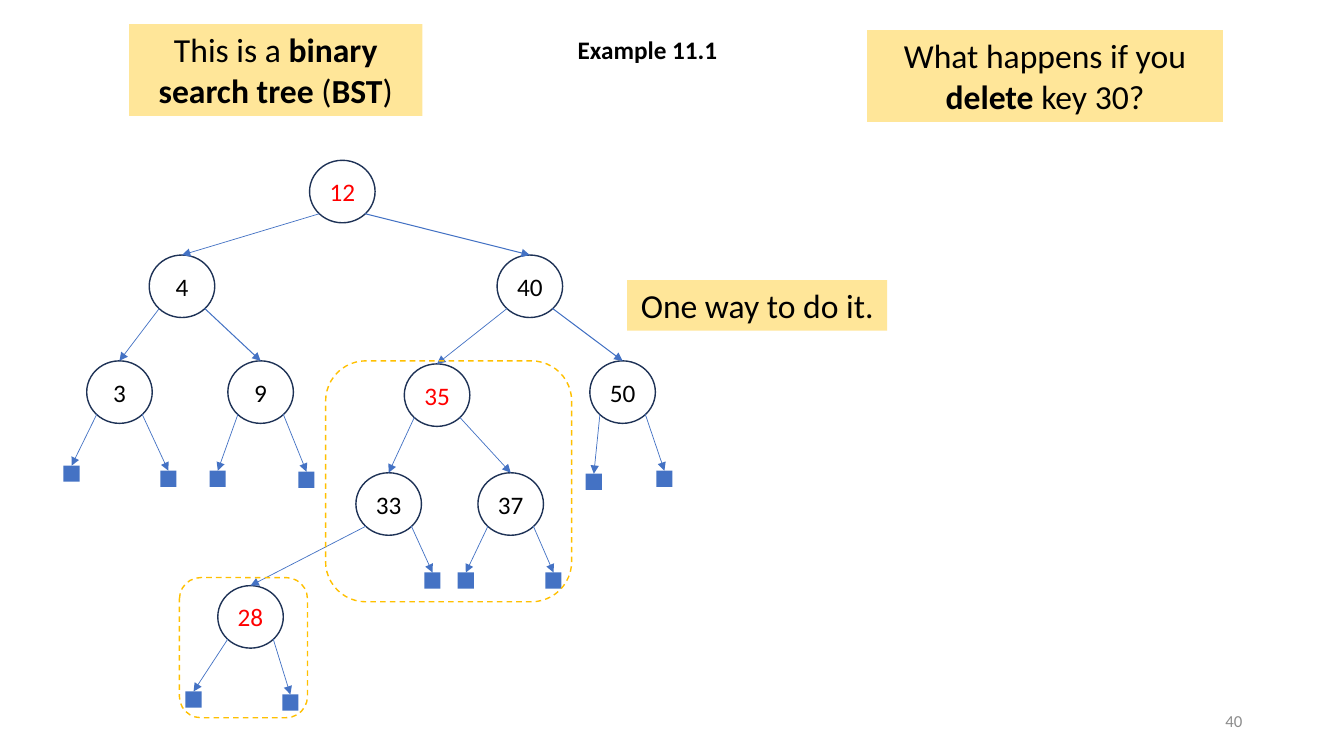
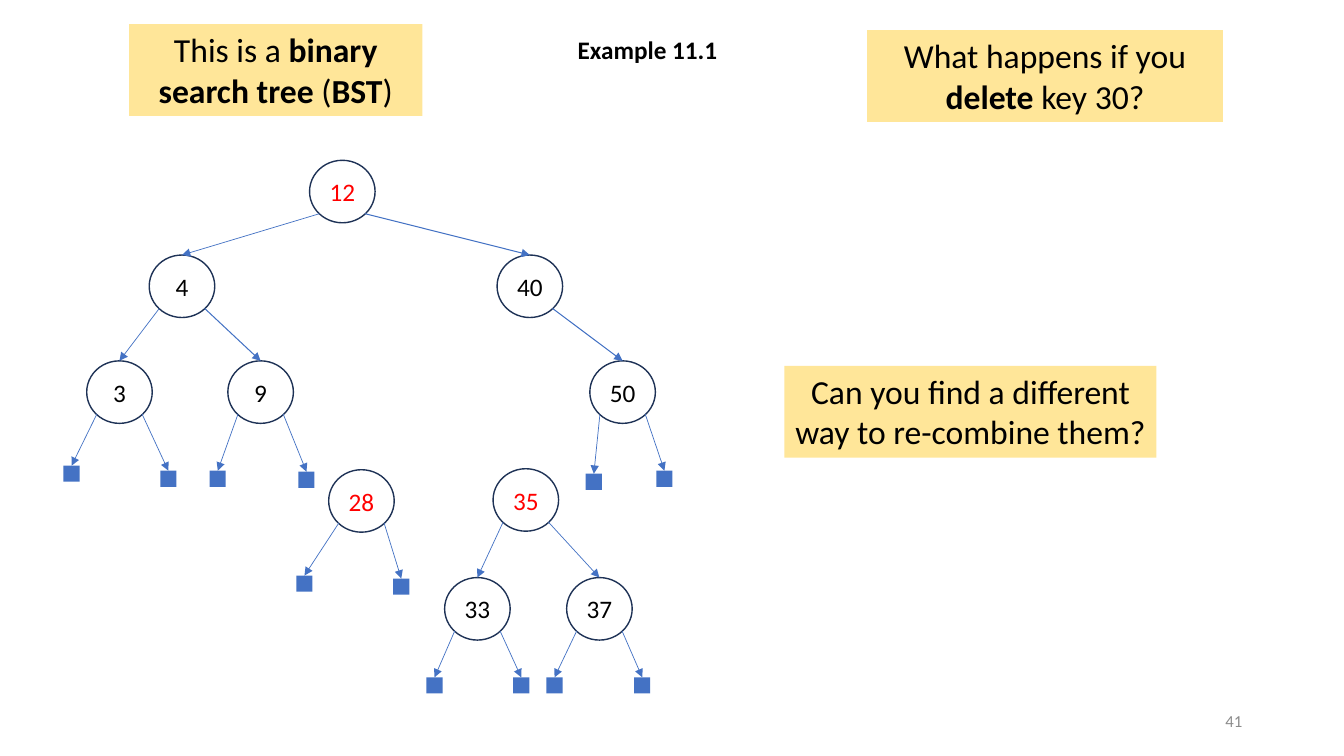
import typing

import pptx
import pptx.dml.color
import pptx.enum.dml
import pptx.enum.shapes
import pptx.enum.text
import pptx.oxml
import pptx.oxml.ns
import pptx.util

PX = 9144  # EMU in one px, 100 px to the inch
FONT = "Calibri"
COLORS = {
    "note": "FFE699", "ink": "000000", "hot": "FF0000", "ring": "1E3256",
    "edge": "4472C4", "frame": "FFC000", "page": "8C8C8C",
}
RING_W, RING_H, LEAF = 65, 62, 16
EXITS = ((10, 53), (55, 53))  # where left and right edges leave a ring
KIND = pptx.enum.shapes.MSO_SHAPE
ALIGN = pptx.enum.text.PP_ALIGN
ANCHOR = pptx.enum.text.MSO_ANCHOR

Spot = tuple[int, int]
Area = tuple[int, int, int, int]


class Node(typing.NamedTuple):
    key: str
    x: int
    y: int
    up: str = ""      # key of the parent
    side: int = 0     # 0 left child, 1 right child
    leaves: tuple[Spot | None, Spot | None] = (None, None)  # from the ring's corner
    hot: bool = False
    edge: float = 0.5


class Note(typing.NamedTuple):
    area: Area
    runs: tuple[tuple[str, bool], ...]


class Page(typing.NamedTuple):
    number: str
    nodes: list[Node]
    frames: list[Area]
    note: Note


# Shared parts
TITLE = "Example 11.1"
NOTES = (
    Note((128, 24, 291, 91), (("This is a ", False), ("binary search tree", True),
                              (" (", False), ("BST", True), (")", False))),
    Note((860, 30, 353, 91), (("What happens if you ", False), ("delete", True),
                              (" key 30?", False))),
)
TRUNK = [
    Node("12", 307, 159, hot=True),
    Node("4", 148, 253, "12", 0),
    Node("40", 493, 253, "12", 1, edge=0.75),
    Node("3", 86, 358, "4", 0, ((-23, 104), (73, 109))),
    Node("9", 226, 358, "4", 1, ((-18, 109), (70, 110)), edge=0.75),
    Node("50", 585, 358, "40", 1, ((-4, 112), (66, 109)), edge=0.75),
]
# Subtrees left after the key is deleted
LIMB = [
    Node("35", 401, 361, "40", 0, hot=True),
    Node("33", 353, 469, "35", 0, (None, (68, 99))),
    Node("37", 474, 469, "35", 1, ((-20, 99), (67, 99))),
]
TWIG = Node("28", 216, 581, "33", 0, ((-32, 105), (64, 108)), hot=True)


def shift(node: Node, dx: int, dy: int) -> Node:
    return node._replace(x=node.x + dx, y=node.y + dy)


def apart() -> list[Node]:
    """Both subtrees cut loose and moved below the trunk."""
    root, low, high = (shift(node, 88, 104) for node in LIMB)
    low = low._replace(leaves=((-18, 99), low.leaves[1]))
    return [root._replace(up=""), low, high, shift(TWIG, 110, -115)._replace(up="")]


PAGES = [
    Page("40", TRUNK + LIMB + [TWIG], [(323, 358, 244, 239), (178, 573, 127, 139)],
         Note((622, 278, 258, 50), (("One way to do it.", False),))),
    Page("41", TRUNK + apart(), [],
         Note((778, 363, 369, 91),
              (("Can you find a different way to re-combine them?", False),))),
]


def tint(name: str) -> pptx.dml.color.RGBColor:
    return pptx.dml.color.RGBColor.from_string(COLORS[name])


def scale(*sizes: int) -> list[int]:
    return [size * PX for size in sizes]


def style(para, size: int, color: str, align) -> None:
    para.alignment = align
    para.font.name = FONT
    para.font.size = pptx.util.Pt(size)
    para.font.color.rgb = tint(color)


def add_shape(slide, kind, area: Area, fill: str = "", line: str = ""):
    shape = slide.shapes.add_shape(kind, *scale(*area))
    shape.shadow.inherit = False
    if fill:
        shape.fill.solid()
        shape.fill.fore_color.rgb = tint(fill)
    else:
        shape.fill.background()
    if line:
        shape.line.color.rgb = tint(line)
        shape.line.width = pptx.util.Pt(1)
    else:
        shape.line.fill.background()
    return shape


def add_note(slide, note: Note) -> None:
    box = add_shape(slide, KIND.RECTANGLE, note.area, fill="note")
    frame = box.text_frame
    frame.word_wrap = True
    frame.vertical_anchor = ANCHOR.TOP
    para = frame.paragraphs[0]
    style(para, 24, "ink", ALIGN.CENTER)
    for text, bold in note.runs:
        run = para.add_run()
        run.text = text
        run.font.bold = bold


def add_ring(slide, node: Node):
    ring = add_shape(slide, KIND.OVAL, (node.x, node.y, RING_W, RING_H), line="ring")
    frame = ring.text_frame
    frame.margin_left = frame.margin_right = frame.margin_top = frame.margin_bottom = 0
    frame.word_wrap = False
    frame.vertical_anchor = ANCHOR.MIDDLE
    frame.text = node.key
    style(frame.paragraphs[0], 18, "hot" if node.hot else "ink", ALIGN.CENTER)
    return ring


def add_edge(slide, node: Node, side: int, child, width: float = 0.5) -> None:
    """Arrow from a lower corner of the node's ring to the child's top."""
    dx, dy = EXITS[side]
    start = scale(node.x + dx, node.y + dy)
    edge = slide.shapes.add_connector(
        pptx.enum.shapes.MSO_CONNECTOR.STRAIGHT, *start, *start)
    edge.end_connect(child, 0)
    edge.line.color.rgb = tint("edge")
    edge.line.width = pptx.util.Pt(width)
    head = pptx.oxml.parse_xml(
        f'<a:tailEnd {pptx.oxml.ns.nsdecls("a")} type="triangle"/>')
    edge.line._get_or_add_ln().append(head)
    edge._element.spPr.append(
        pptx.oxml.parse_xml(f'<a:effectLst {pptx.oxml.ns.nsdecls("a")}/>'))


def add_tree(slide, nodes: list[Node]) -> None:
    by_key = {node.key: node for node in nodes}
    for node in nodes:
        ring = add_ring(slide, node)
        if node.up:
            add_edge(slide, by_key[node.up], node.side, ring, node.edge)
        for side, spot in enumerate(node.leaves):
            if spot:
                area = (node.x + spot[0], node.y + spot[1], LEAF, LEAF)
                leaf = add_shape(slide, KIND.RECTANGLE, area, fill="edge")
                add_edge(slide, node, side, leaf)


def add_title(slide) -> None:
    title = slide.shapes.title
    title.left, title.top, title.width, title.height = scale(563, 29, 160, 40)
    frame = title.text_frame
    frame.text = TITLE
    frame.word_wrap = False
    frame.auto_size = pptx.enum.text.MSO_AUTO_SIZE.SHAPE_TO_FIT_TEXT
    frame.vertical_anchor = ANCHOR.TOP
    para = frame.paragraphs[0]
    style(para, 18, "ink", ALIGN.LEFT)
    para.font.bold = True


def add_number(slide, number: str) -> None:
    frame = slide.shapes.add_textbox(*scale(942, 695, 300, 40)).text_frame
    frame.word_wrap = True
    frame.vertical_anchor = ANCHOR.MIDDLE
    frame.text = number
    style(frame.paragraphs[0], 12, "page", ALIGN.RIGHT)


def add_page(deck, page: Page) -> None:
    slide = deck.slides.add_slide(deck.slide_layouts[5])
    add_title(slide)
    add_number(slide, page.number)
    add_tree(slide, page.nodes)
    for area in page.frames:
        frame = add_shape(slide, KIND.ROUNDED_RECTANGLE, area, line="frame")
        frame.line.dash_style = pptx.enum.dml.MSO_LINE.DASH
    for note in (*NOTES, page.note):
        add_note(slide, note)


def main() -> None:
    deck = pptx.Presentation()
    deck.slide_width, deck.slide_height = scale(1333, 750)
    for page in PAGES:
        add_page(deck, page)
    deck.save("out.pptx")


if __name__ == "__main__":
    main()
